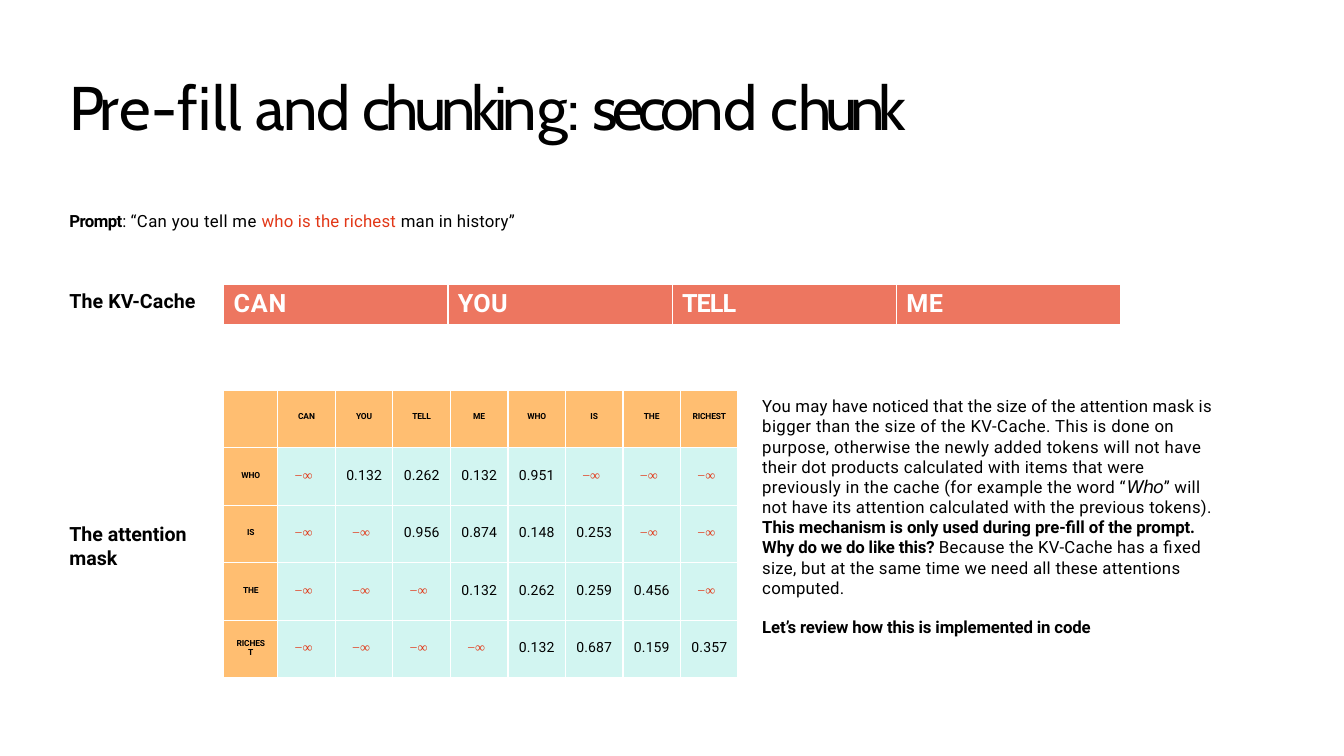
from lxml import etree
from pptx import Presentation
from pptx import util as u
from pptx.dml.color import RGBColor
from pptx.enum import text as t
from pptx.oxml import ns

BLACK = RGBColor(0x00, 0x00, 0x00)
WHITE = RGBColor(0xFF, 0xFF, 0xFF)
RED = RGBColor(0xE2, 0x37, 0x17)
CORAL = RGBColor(0xED, 0x76, 0x60)
ORANGE = RGBColor(0xFF, 0xBE, 0x71)
AQUA = RGBColor(0xD2, 0xF5, 0xF1)

LEFT = 1.72
TABLE_LEFT = 5.64
NOTE_LEFT = 19.18
CACHE_CELL = 5.65
MASK_CELL_WIDTH = 1.45
MASK_CELL_HEIGHT = 1.45
MASK_LABEL_WIDTH = 1.36
MASKED = "−∞"

TITLE = [
    ("Pr", dict(spc=-3.1)), ("e", dict(spc=-3.5)), ("-", dict(spc=-0.1)),
    ("fi", dict(spc=0.6)), ("l", dict(spc=0.3)), ("l ", dict(spc=-0.4)),
    ("and ", dict(spc=-1.2)), ("chunkin", dict(spc=-3.4)), ("g", dict(spc=-4)),
    (": ", dict(spc=-1.6)), ("secon", dict(spc=-3.8)), ("d ", dict(spc=-1.4)),
    ("c", dict(spc=-3.4)), ("hunk", dict(spc=-4.6)),
]
PROMPT = [
    ("Prompt", dict(bold=True, spc=-0.4)),
    (": ", {}),
    ("“Can you tell me ", dict(spc=0.25)),
    ("who is the richest ", dict(color=RED, spc=0.15)),
    ("man in history”", dict(spc=0.15)),
]
EXPLANATION = [
    [
        ("You may have noticed that the size of the attention mask is ", dict(spc=0.15)),
        ("bigger than the size of the KV-Cache. This is done on ", dict(spc=0.28)),
        ("purpose, otherwise the newly added tokens will not have ", dict(spc=0.28)),
        ("their dot products calculated with items that were ", dict(spc=0.2)),
        ("previously in the cache (for example the word “", dict(spc=0.25)),
        ("Who", dict(font="DejaVu Sans", size=12.5, italic=True, spc=-0.8)),
        ("” will not have its attention calculated with the previous tokens). ",
         dict(spc=0.2)),
        ("This mechanism is only used during pre-fill of the prompt.",
         dict(bold=True, spc=-0.07)),
    ],
    [
        ("Why do we do like this? ", dict(bold=True, spc=-0.1)),
        ("Because the KV-Cache has a fixed size, but at the same time we need "
         "all these attentions computed.", dict(spc=0.2)),
    ],
]

CACHED_TOKENS = ["CAN", "YOU", "TELL", "ME"]
NEW_TOKENS = ["WHO", "IS", "THE", "RICHEST"]
ATTENTION = [
    [None, 0.132, 0.262, 0.132, 0.951, None, None, None],
    [None, None, 0.956, 0.874, 0.148, 0.253, None, None],
    [None, None, None, 0.132, 0.262, 0.259, 0.456, None],
    [None, None, None, None, 0.132, 0.687, 0.159, 0.357],
]


def write(paragraph, words, font="Roboto", size=12, color=BLACK,
          bold=False, italic=False, spc=0):
    """Add one run; spc is the letter spacing in points."""
    run = paragraph.add_run()
    run.text = words
    run.font.name = font
    run.font.size = u.Pt(size)
    run.font.color.rgb = color
    run.font.bold = bold
    run.font.italic = italic
    if spc:
        run._r.get_or_add_rPr().set("spc", str(round(spc * 100)))


def add_text(slide, left, top, width, height, paragraphs, line=None, **base):
    """Place paragraphs, each a list of (words, format changes)."""
    box = slide.shapes.add_textbox(u.Cm(left), u.Cm(top), u.Cm(width), u.Cm(height))
    frame = box.text_frame
    frame.word_wrap = True
    frame.margin_left = u.Cm(0.03)
    frame.margin_right = frame.margin_bottom = 0
    frame.margin_top = u.Cm(0.03)
    for number, runs in enumerate(paragraphs):
        paragraph = frame.add_paragraph() if number else frame.paragraphs[0]
        if line:
            paragraph.line_spacing = u.Pt(line)
        for words, changes in runs:
            write(paragraph, words, **{**base, **changes})


def add_grid(slide, left, top, widths, heights):
    frame = slide.shapes.add_table(
        len(heights), len(widths), u.Cm(left), u.Cm(top),
        u.Cm(sum(widths)), u.Cm(sum(heights)))
    grid = frame.table
    grid.first_row = grid.horz_banding = False
    for column, width in zip(grid.columns, widths):
        column.width = u.Cm(width)
    for row, height in zip(grid.rows, heights):
        row.height = u.Cm(height)
    return grid


def add_white_borders(cell, bottom):
    properties = cell._tc.get_or_add_tcPr()
    for side, points in (("L", 1), ("R", 1), ("T", 1), ("B", bottom)):
        border = etree.SubElement(properties, ns.qn(f"a:ln{side}"), w=str(u.Pt(points)))
        fill = etree.SubElement(border, ns.qn("a:solidFill"))
        etree.SubElement(fill, ns.qn("a:srgbClr"), val=str(WHITE))


def fill_cell(cell, words, fill, align=t.PP_ALIGN.CENTER, left=0, right=0,
              lift=0.05, bottom=1, **style):
    """Format a cell; lift raises the text above the middle, in cm."""
    add_white_borders(cell, bottom)
    cell.fill.solid()
    cell.fill.fore_color.rgb = fill
    cell.margin_left, cell.margin_right = u.Cm(left), u.Cm(right)
    cell.margin_top, cell.margin_bottom = 0, u.Cm(lift)
    cell.vertical_anchor = t.MSO_ANCHOR.MIDDLE
    paragraph = cell.text_frame.paragraphs[0]
    paragraph.alignment = align
    if words:
        write(paragraph, words, **style)


def add_cache(slide):
    grid = add_grid(slide, TABLE_LEFT, 7.16, [CACHE_CELL] * len(CACHED_TOKENS), [1.04])
    for column, (token, spc) in enumerate(zip(CACHED_TOKENS, (0.5, 0.2, -0.7, 0.4))):
        fill_cell(grid.cell(0, column), token, CORAL, align=t.PP_ALIGN.LEFT,
                  left=0.25, bottom=3, size=18, color=WHITE, bold=True, spc=spc)


def add_attention_mask(slide):
    tokens = CACHED_TOKENS + NEW_TOKENS
    grid = add_grid(slide, TABLE_LEFT, 9.83,
                    [MASK_LABEL_WIDTH] + [MASK_CELL_WIDTH] * len(tokens),
                    [MASK_CELL_HEIGHT] * (len(NEW_TOKENS) + 1))
    label = dict(fill=ORANGE, size=6, bold=True, spc=-0.1)
    for column, token in enumerate([""] + tokens):
        fill_cell(grid.cell(0, column), token, lift=0.1, **label)
    for row, (token, scores) in enumerate(zip(NEW_TOKENS, ATTENTION), start=1):
        # Side margins make the longest label wrap before its last letter
        fill_cell(grid.cell(row, 0), token, left=0.27, right=0.27, **label)
        for column, score in enumerate(scores, start=1):
            cell = grid.cell(row, column)
            if score is None:
                fill_cell(cell, MASKED, AQUA, right=0.15, size=10,
                          font="Times New Roman", color=RED)
            else:
                fill_cell(cell, f"{score:.3f}", AQUA, size=10, spc=0.1)


def main():
    deck = Presentation()
    deck.slide_width, deck.slide_height = u.Cm(33.87), u.Cm(19.05)
    slide = deck.slides.add_slide(deck.slide_layouts[6])

    add_text(slide, LEFT, 1.7, 24, 1.93, [TITLE], font="Cabin", size=44)
    add_text(slide, LEFT, 5.28, 12, 0.58, [PROMPT])
    add_text(slide, LEFT, 7.24, 3.7, 0.66, [[("The KV-Cache", {})]],
             size=14, bold=True, spc=0.05)
    add_cache(slide)
    add_text(slide, LEFT, 13.13, 3.4, 1.27, [[("The attention mask", {})]],
             size=14, bold=True, spc=-0.07)
    add_attention_mask(slide)
    add_text(slide, NOTE_LEFT, 9.95, 11.66, 5.16, EXPLANATION, line=14.4)
    add_text(slide, NOTE_LEFT, 15.52, 9.5, 0.58,
             [[("Let’s review how this is implemented in code", {})]],
             bold=True, spc=-0.12)

    deck.save("out.pptx")


if __name__ == "__main__":
    main()
